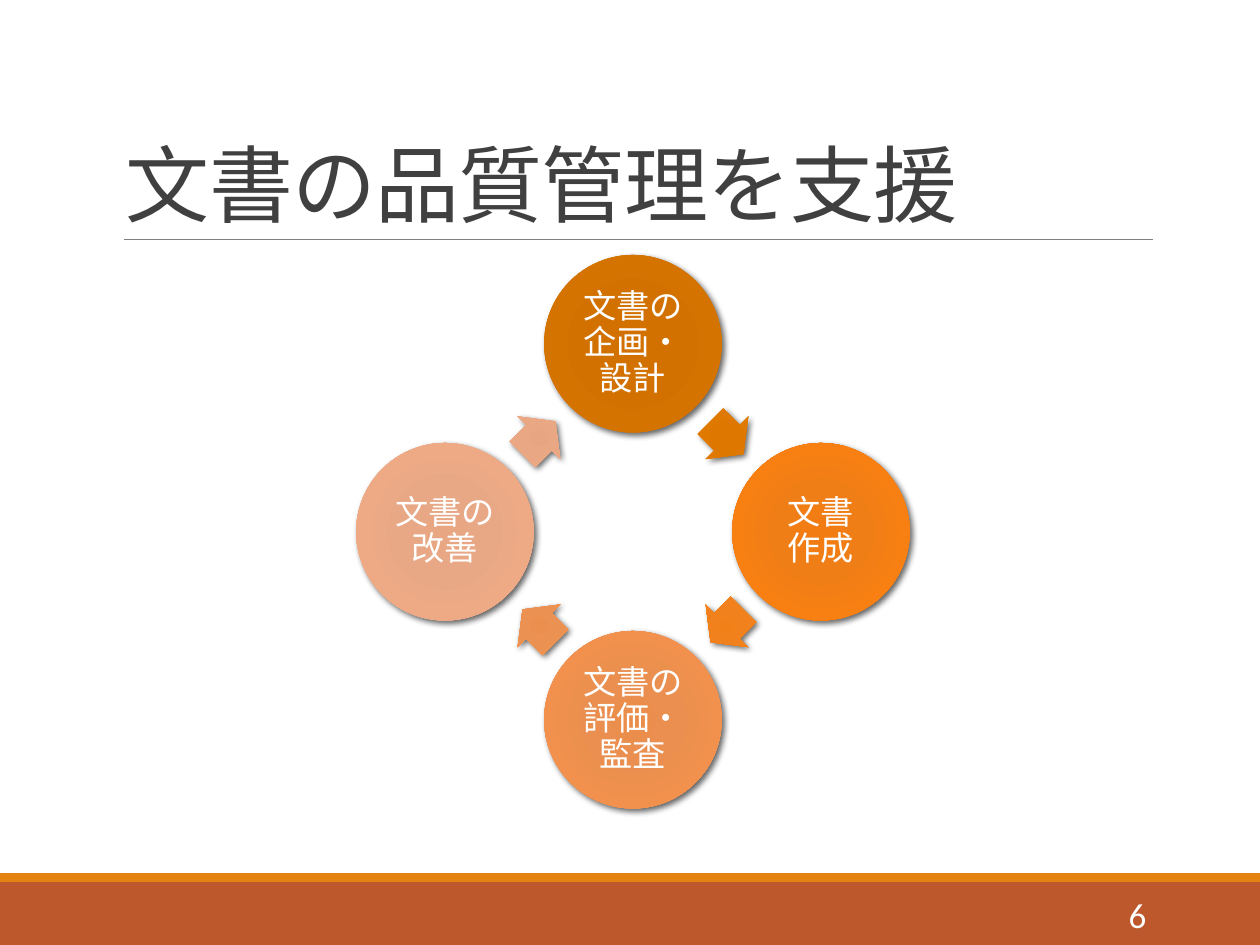
"""Build a slide with a four-step document quality cycle."""
import math

import lxml.etree
import pptx
import pptx.dml.color
import pptx.enum.shapes
import pptx.enum.text
import pptx.oxml
import pptx.util

Cm = pptx.util.Cm
Pt = pptx.util.Pt
SHAPE = pptx.enum.shapes.MSO_SHAPE
ALIGN = pptx.enum.text.PP_ALIGN
ANCHOR = pptx.enum.text.MSO_ANCHOR
NAMESPACE = "http://schemas.openxmlformats.org/drawingml/2006/main"

TITLE = "文書の品質管理を支援"
PAGE_NUMBER = "6"
STEPS = [
    ("文書の企画・\n設計", "D07000 D27100 D57300 D87807", "DB7600 DD7700 E07900 E47E07"),
    ("文書\n作成", "F27C11 F07E16 F87F12 F18625", "F28018 F0811D F88319 F28A2C"),
    ("文書の評価・監査", "EB8E4B EA8F4F F1914D EF9A5E", "EB8F4E EB9152 F19350 F09C61"),
    ("文書の改善", "E8A682 E8A885 EEAA85 F0B494", "E8A581 E9A784 EEA984 F1B492"),
]
BANDS = [(17.78, 1.27, "BD582C"), (17.6, 0.18, "E48312")]
STOPS = [0, 34, 70, 100]
CENTER = (12.76, 10.72)
RADIUS, DIAMETER = 3.79, 3.58
ARROW_SIZE = (0.94, 1.22)

TITLE_FORMAT = {"size": 48, "color": "404040", "align": ALIGN.LEFT, "anchor": ANCHOR.BOTTOM,
                "line_spacing": 0.85}
STEP_FORMAT = {"size": 19, "color": "FFFFFF", "align": ALIGN.CENTER, "anchor": ANCHOR.MIDDLE,
               "line_spacing": 0.9, "margin": 0.08}
NUMBER_FORMAT = {"size": 20, "color": "FFFFFF", "align": ALIGN.RIGHT, "anchor": ANCHOR.MIDDLE}


def color(value):
    return pptx.dml.color.RGBColor.from_string(value)


def element(markup):
    return pptx.oxml.parse_xml(markup.replace(">", f' xmlns:a="{NAMESPACE}">', 1))


def write(box, text, style):
    frame = box.text_frame
    settings = {"word_wrap": True, "vertical_anchor": style["anchor"]}
    if "margin" in style:
        for side in ("left", "top", "right", "bottom"):
            settings[f"margin_{side}"] = Cm(style["margin"])
    for name, value in settings.items():
        setattr(frame, name, value)
    para = frame.paragraphs[0]
    para.text = text
    para.alignment = style["align"]
    para.line_spacing = style.get("line_spacing")
    for span in para.runs:
        for name, value in {"name": "Calibri", "size": Pt(style["size"])}.items():
            setattr(span.font, name, value)
        span.font.color.rgb = color(style["color"])
    return para


def add_plain(page, kind, left, top, width, height):
    shape = page.shapes.add_shape(kind, Cm(left), Cm(top), Cm(width), Cm(height))
    shape.shadow.inherit = False
    shape.line.fill.background()
    return shape


def add_glossy(page, kind, middle, size, colors):
    left, top = (m - s / 2 for m, s in zip(middle, size))
    shape = add_plain(page, kind, left, top, *size)
    shape.fill.gradient()
    stops = "".join(f'<a:gs pos="{stop * 1000}"><a:srgbClr val="{value}"/></a:gs>'
                    for stop, value in zip(STOPS, colors.split()))
    gradient = element(
        f'<a:gradFill rotWithShape="1"><a:gsLst>{stops}</a:gsLst><a:path path="circle">'
        '<a:fillToRect l="100000" t="100000" r="100000" b="100000"/></a:path></a:gradFill>')
    properties = shape.element.spPr
    properties.replace(properties.find(f"{{{NAMESPACE}}}gradFill"), gradient)
    properties.find(f"{{{NAMESPACE}}}effectLst").append(element(
        '<a:outerShdw blurRad="44450" dist="25400" dir="2700000" algn="br" rotWithShape="0">'
        '<a:srgbClr val="000000"><a:alpha val="60000"/></a:srgbClr></a:outerShdw>'))
    return shape


def ring_point(degrees, radius):
    angle = math.radians(degrees)
    return CENTER[0] + radius * math.sin(angle), CENTER[1] - radius * math.cos(angle)


def add_text(page, left, top, width, height, text, style):
    box = page.shapes.add_textbox(Cm(left), Cm(top), Cm(width), Cm(height))
    return write(box, text, style)


def add_frame(page):
    for top, height, value in BANDS:
        band = add_plain(page, SHAPE.RECTANGLE, 0, top, 25.4, height)
        band.fill.solid()
        band.fill.fore_color.rgb = color(value)
    rule = page.shapes.add_connector(
        pptx.enum.shapes.MSO_CONNECTOR.STRAIGHT, Cm(2.49), Cm(4.83), Cm(23.24), Cm(4.83))
    rule.line.color.rgb = color("808080")
    rule.line.width = Pt(0.5)
    lxml.etree.SubElement(rule.element.spPr, f"{{{NAMESPACE}}}effectLst")
    title = add_text(page, 2.29, 0.79, 20.95, 4.04, TITLE, TITLE_FORMAT)
    title.runs[0].font._element.set("spc", "-50")
    add_text(page, 20.62, 17.93, 2.74, 1.02, PAGE_NUMBER, NUMBER_FORMAT)


def add_cycle(page):
    turn = 360 / len(STEPS)
    for index, (label, circle_colors, arrow_colors) in enumerate(STEPS):
        circle = add_glossy(page, SHAPE.OVAL, ring_point(index * turn, RADIUS),
                            (DIAMETER, DIAMETER), circle_colors)
        write(circle, label, STEP_FORMAT)
        halfway = (index + 0.5) * turn
        middle = ring_point(halfway, RADIUS * math.cos(math.radians(turn / 2)))
        arrow = add_glossy(page, SHAPE.RIGHT_ARROW, middle, ARROW_SIZE, arrow_colors)
        arrow.rotation = halfway
        arrow.adjustments[0] = 0.6
        arrow.adjustments[1] = 0.5


def main():
    deck = pptx.Presentation()
    deck.slide_width, deck.slide_height = Cm(25.4), Cm(19.05)
    page = deck.slides.add_slide(deck.slide_layouts[6])
    add_frame(page)
    add_cycle(page)
    deck.save("out.pptx")


if __name__ == "__main__":
    main()
